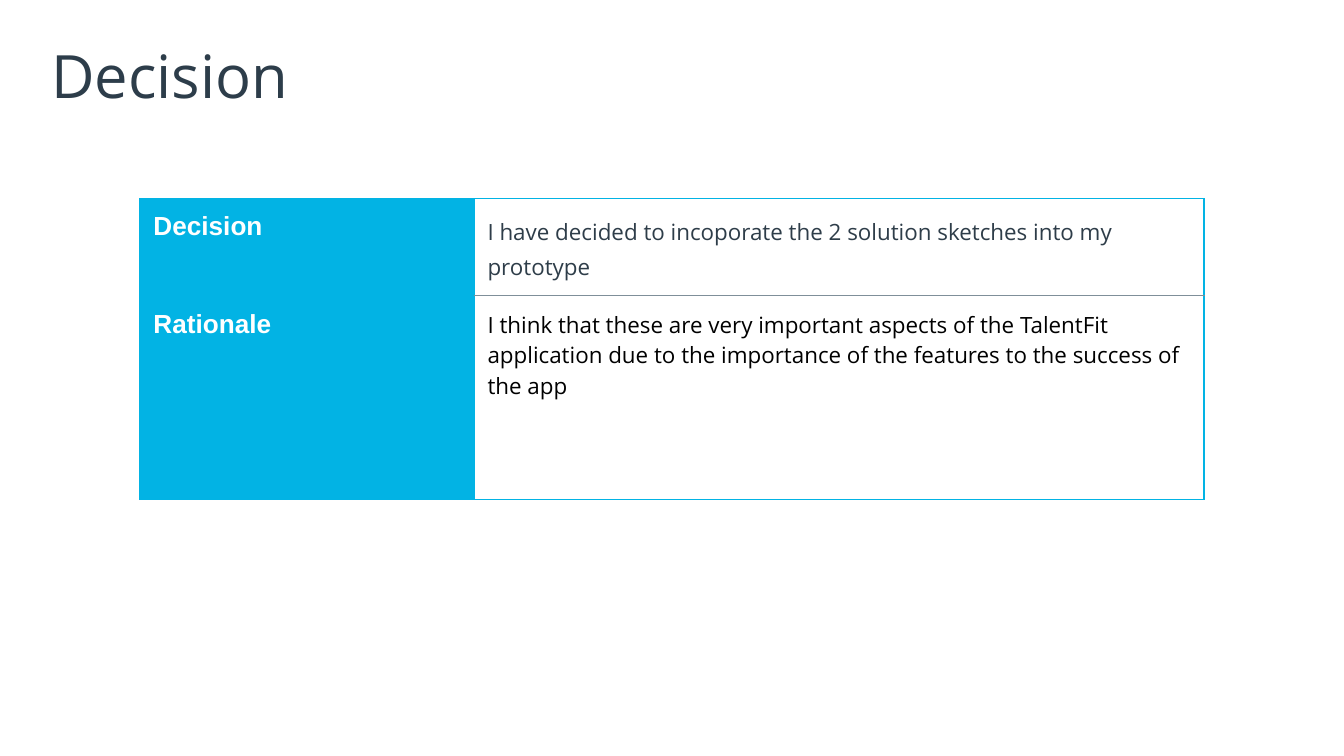
from dataclasses import dataclass

import pptx
import pptx.dml.color
import pptx.enum.text
import pptx.oxml
import pptx.oxml.ns
import pptx.util

Pt = pptx.util.Pt
MIDDLE = pptx.enum.text.MSO_ANCHOR.MIDDLE


@dataclass(frozen=True)
class Theme:
    heading_font: str = "Arial"
    body_font: str = "Open Sans"
    title_size: float = 32
    heading_size: float = 14
    body_size: float = 12
    title: str = "2D3D4A"
    slate: str = "2E3D49"
    black: str = "000000"
    white: str = "FFFFFF"
    accent: str = "02B3E4"
    divider: str = "7F8F99"
    border: float = 0.75


THEME = Theme()


@dataclass(frozen=True)
class Row:
    heading: str
    text: str
    color: str
    height: float
    spacing: float = 1.0


ROWS = [
    Row("Decision",
        "I have decided to incoporate the 2 solution sketches into my prototype",
        THEME.slate, 52, 1.15),
    Row("Rationale",
        "I think that these are very important aspects of the TalentFit application "
        "due to the importance of the features to the success of the app",
        THEME.black, 109),
]
COLUMN_WIDTHS = (179, 391)


def write(tf, text: str, font: str, size: float, color: str,
          bold: bool = False, spacing: float = 1.0) -> None:
    p = tf.paragraphs[0]
    p.line_spacing = spacing
    r = p.add_run()
    r.text = text
    for name, value in {"name": font, "size": Pt(size), "bold": bold}.items():
        setattr(r.font, name, value)
    r.font.color.rgb = pptx.dml.color.RGBColor.from_string(color)


def set_margins(target, margin: float) -> None:
    for side in ("left", "right", "top", "bottom"):
        setattr(target, f"margin_{side}", Pt(margin))


def set_borders(cell, colors: dict[str, str]) -> None:
    """Draw the cell's edges; colors maps L, R, T and B, in that order."""
    tc_pr = cell._tc.get_or_add_tcPr()
    for side, color in colors.items():
        tc_pr.append(pptx.oxml.parse_xml(
            f'<a:ln{side} {pptx.oxml.ns.nsdecls("a")} w="{Pt(THEME.border)}">'
            f'<a:solidFill><a:srgbClr val="{color}"/></a:solidFill></a:ln{side}>'))


def add_title(s, text: str) -> None:
    tf = s.shapes.add_textbox(Pt(24.5), Pt(17.3), Pt(671), Pt(45.4)).text_frame
    tf.word_wrap = True
    tf.vertical_anchor = MIDDLE
    set_margins(tf, 2.9)
    write(tf, text, THEME.body_font, THEME.title_size, THEME.title)


def add_decision_table(s, rows: list[Row]) -> None:
    height = sum(row.height for row in rows)
    table = s.shapes.add_table(len(rows), 2, Pt(75), Pt(106.5),
                               Pt(sum(COLUMN_WIDTHS)), Pt(height)).table
    table.first_row = table.horz_banding = False
    for column, width in zip(table.columns, COLUMN_WIDTHS):
        column.width = Pt(width)
    for i, row in enumerate(rows):
        table.rows[i].height = Pt(row.height)
        heading, body = table.cell(i, 0), table.cell(i, 1)
        edges = dict.fromkeys("LRTB", THEME.accent)
        set_borders(heading, edges)
        if i > 0:
            edges["T"] = THEME.divider
        if i < len(rows) - 1:
            edges["B"] = THEME.divider
        set_borders(body, edges)
        for cell in (heading, body):
            set_margins(cell, 7.2)
        heading.fill.solid()
        heading.fill.fore_color.rgb = pptx.dml.color.RGBColor.from_string(THEME.accent)
        body.fill.background()
        write(heading.text_frame, row.heading, THEME.heading_font,
              THEME.heading_size, THEME.white, bold=True)
        write(body.text_frame, row.text, THEME.body_font,
              THEME.body_size, row.color, spacing=row.spacing)


def main() -> None:
    prs = pptx.Presentation()
    prs.slide_width, prs.slide_height = Pt(720), Pt(405)
    s = prs.slides.add_slide(prs.slide_layouts[6])
    add_title(s, "Decision")
    add_decision_table(s, ROWS)
    prs.save("out.pptx")


if __name__ == "__main__":
    main()
